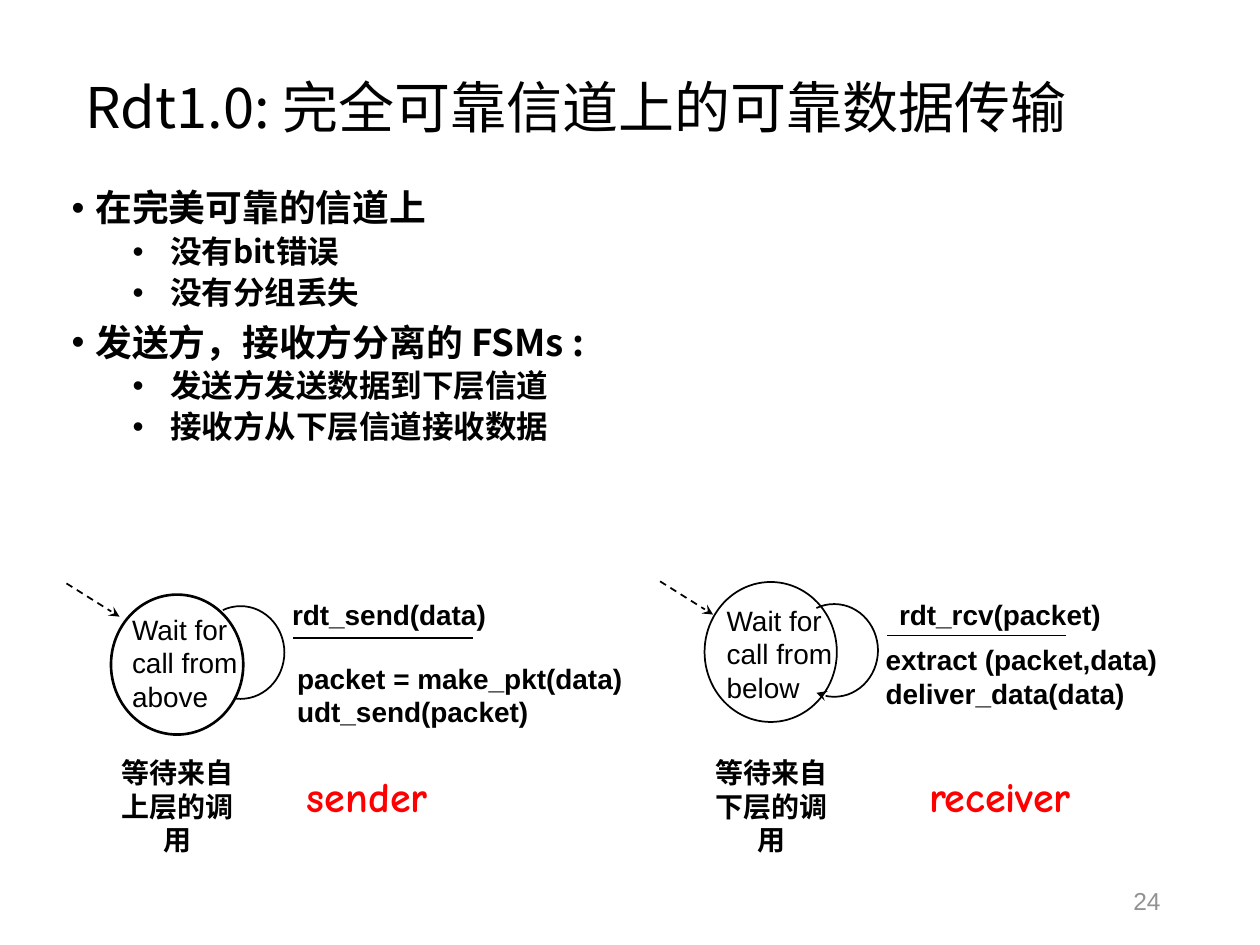
"""Build the Rdt1.0 slide: bullets above the sender and receiver state machines."""
import math

from lxml import etree
from pptx import Presentation
from pptx import util as u
from pptx.dml.color import RGBColor
from pptx.enum import dml, shapes, text
from pptx.oxml.ns import qn

TITLE = "Rdt1.0: 完全可靠信道上的可靠数据传输"
BULLETS = [
    (0, "在完美可靠的信道上"),
    (1, "没有bit错误"),
    (1, "没有分组丢失"),
    (0, "发送方，接收方分离的 FSMs :"),
    (1, "发送方发送数据到下层信道"),
    (1, "接收方从下层信道接收数据"),
]
LEVELS = [
    {"size": 21, "before": 7.5, "left": 13.5, "hanging": 13.5},
    {"size": 18, "before": 3.8, "left": 56.25, "hanging": 21.5},
]
MACHINES = [
    {"origin": (38, 333.4), "state_top": 339.8, "state_line": 1.5, "loop_behind": True,
     "state": "Wait for call from above", "state_text": (68.4, 346.3),
     "event": "rdt_send(data)", "event_box": (159.8, 337.7, 178, 34), "event_centred": False,
     "actions": ["packet = make_pkt(data)", "udt_send(packet)"],
     "actions_box": (162.7, 374.4, 211, 47),
     "caption": "等待来自上层的调用", "role": "sender", "role_box": (164.2, 437, 91.4, 36)},
    {"origin": (377.2, 332.2), "state_top": 332.6, "state_line": 1, "loop_behind": False,
     "state": "Wait for call from below", "state_text": (408.2, 341.3),
     "event": "rdt_rcv(packet)", "event_box": (506.2, 337.7, 130.3, 26.6), "event_centred": True,
     "actions": ["extract (packet,data)", "deliver_data(data)"],
     "actions_box": (499, 363.6, 196, 34),
     "caption": "等待来自下层的调用", "role": "receiver", "role_box": (517, 437, 108.7, 36)},
]
CJK = "Noto Sans CJK SC"
LEFT, CENTRE, RIGHT = text.PP_ALIGN.LEFT, text.PP_ALIGN.CENTER, text.PP_ALIGN.RIGHT


def colour(value):
    return RGBColor.from_string(value)


def place(shape, box):
    shape.left, shape.top, shape.width, shape.height = map(u.Pt, box)


def format_paragraph(paragraph, size, font="Arial", bold=False, ink="000000", align=LEFT):
    paragraph.alignment = align
    paragraph.font.size = u.Pt(size)
    paragraph.font.name = font
    paragraph.font.bold = bold
    paragraph.font.color.rgb = colour(ink)
    for run in paragraph.runs:
        properties = run._r.get_or_add_rPr()
        etree.SubElement(properties, qn("a:ea")).set("typeface", CJK)


def add_text(slide, box, lines, size=16, wrap=True, anchor=text.MSO_ANCHOR.TOP, **style):
    shape = slide.shapes.add_textbox(*map(u.Pt, box))
    frame = shape.text_frame
    frame.word_wrap = wrap
    frame.vertical_anchor = anchor
    frame.text = "\n".join(lines)
    for paragraph in frame.paragraphs:
        format_paragraph(paragraph, size, **style)


def style_line(shape, width=1, dashed=False, arrow=False):
    shape.line.color.rgb = colour("000000")
    shape.line.width = u.Pt(width)
    if dashed:
        shape.line.dash_style = dml.MSO_LINE.DASH
    if arrow:
        etree.SubElement(shape.line._get_or_add_ln(), qn("a:tailEnd")).set("type", "stealth")


def add_line(slide, ends, **style):
    line = slide.shapes.add_connector(shapes.MSO_CONNECTOR.STRAIGHT, *map(u.Pt, ends))
    style_line(line, **style)
    etree.SubElement(line._element.spPr, qn("a:effectLst"))


def add_loop(slide, x, y):
    points = [(u.Pt(x + 99.5 + 25 * math.cos(math.radians(angle))),
               u.Pt(y + 39.5 + 26.5 * math.sin(math.radians(angle))))
              for angle in range(-114, 115, 6)]
    builder = slide.shapes.build_freeform(*points[0])
    builder.add_line_segments(points[1:], close=False)
    loop = builder.convert_to_shape()
    loop.fill.background()
    loop.shadow.inherit = False
    style_line(loop, arrow=True)


def add_state(slide, x, machine):
    state = slide.shapes.add_shape(shapes.MSO_SHAPE.OVAL, u.Pt(x + 25.4),
                                   u.Pt(machine["state_top"]), u.Pt(75.6), u.Pt(80))
    state.shadow.inherit = False
    state.fill.solid()
    state.fill.fore_color.rgb = colour("FFFFFF")
    style_line(state, machine["state_line"])


def add_machine(slide, machine):
    x, y = machine["origin"]
    if machine["loop_behind"]:
        add_loop(slide, x, y)
    add_state(slide, x, machine)
    if not machine["loop_behind"]:
        add_loop(slide, x, y)
    add_line(slide, (x, y, x + 30.3, y + 19), dashed=True, arrow=True)
    add_line(slide, (x + 129.7, y + 31, x + 232, y + 31))
    add_text(slide, (*machine["state_text"], 86.4, 72), [machine["state"]])
    centred = machine["event_centred"]
    add_text(slide, machine["event_box"], [machine["event"]], bold=True,
             wrap=not centred, align=CENTRE if centred else LEFT)
    add_text(slide, machine["actions_box"], machine["actions"], bold=True)
    add_text(slide, (x + 20.3, 428.4, 86.4, 72), [machine["caption"]], bold=True, align=CENTRE)
    add_text(slide, machine["role_box"], [machine["role"]], 24, wrap=False,
             font="Comic Neue", bold=True, ink="FF0000", align=CENTRE)


def fill_title(title):
    place(title, (41.8, 18, 630, 90))
    frame = title.text_frame
    frame.text = TITLE
    frame.auto_size = text.MSO_AUTO_SIZE.NONE
    frame.vertical_anchor = text.MSO_ANCHOR.MIDDLE
    frame.paragraphs[0].line_spacing = 0.9
    format_paragraph(frame.paragraphs[0], 32, CJK)


def fill_body(body):
    place(body, (33.8, 105.1, 622, 237.6))
    frame = body.text_frame
    frame.text = "\n".join(line for _, line in BULLETS)
    frame.auto_size = text.MSO_AUTO_SIZE.NONE
    for index, (paragraph, (level, _)) in enumerate(zip(frame.paragraphs, BULLETS)):
        rule = LEVELS[level]
        paragraph.level = level
        paragraph.line_spacing = 0.9
        paragraph.space_before = u.Pt(rule["before"] if index else 0)
        properties = paragraph._p.get_or_add_pPr()
        properties.set("marL", str(u.Pt(rule["left"])))
        properties.set("indent", str(-u.Pt(rule["hanging"])))
        etree.SubElement(properties, qn("a:buFont")).set("typeface", "Arial")
        etree.SubElement(properties, qn("a:buChar")).set("char", "•")
        format_paragraph(paragraph, rule["size"], CJK, bold=True)


def main():
    presentation = Presentation()
    presentation.slide_width, presentation.slide_height = u.Pt(720), u.Pt(540)
    slide = presentation.slides.add_slide(presentation.slide_layouts[1])
    fill_title(slide.shapes.title)
    fill_body(slide.placeholders[1])
    for machine in MACHINES:
        add_machine(slide, machine)
    add_text(slide, (508.3, 500.4, 162, 28.8), ["24"], 14, ink="919293", align=RIGHT,
             anchor=text.MSO_ANCHOR.MIDDLE)
    presentation.save("out.pptx")


if __name__ == "__main__":
    main()
